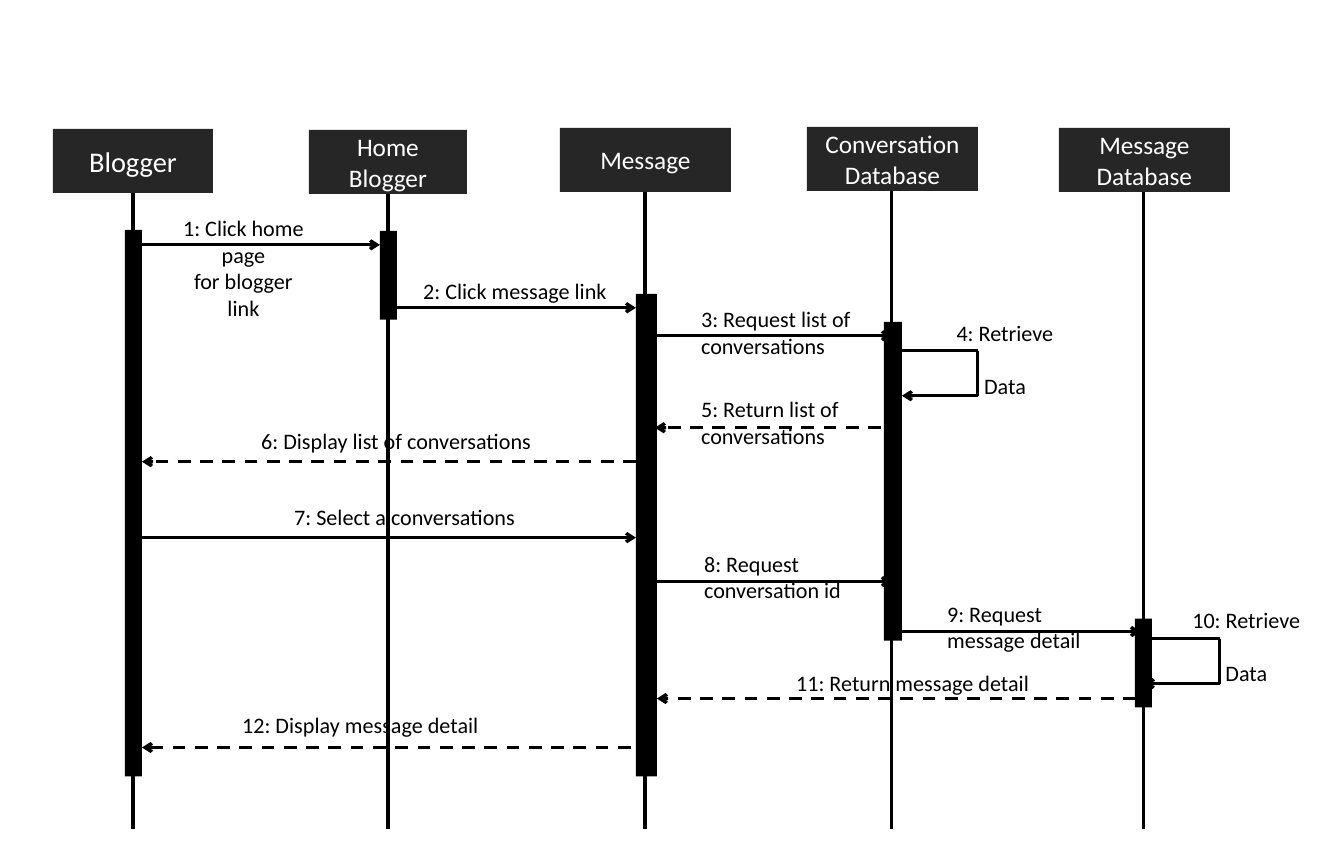
from typing import NamedTuple

from lxml import etree
from pptx import Presentation, util as u
from pptx.dml.color import RGBColor
from pptx.enum import dml, shapes, text
from pptx.oxml.ns import qn

SCALE = 8035  # EMU per pixel
HEAD_H = 64
FOOT_Y = 830
ROW_H = 27
BLACK, DARK, WHITE = "000000", "262626", "FFFFFF"


class Actor(NamedTuple):
    """A header box, its lifeline axis and its activation bar."""
    name: str
    left: int
    top: int
    width: int
    size: int
    axis: int
    bar: tuple[int, int, int, int]


class Label(NamedTuple):
    """A message caption; rows is the number of lines it fills."""
    words: str
    left: int
    top: int
    width: int
    rows: int = 1
    center: bool = False
    gap: int = 0


class Call(NamedTuple):
    """A level arrow between two actors."""
    start: int
    end: int
    y: int
    label: Label
    dashed: bool = False


class Loop(NamedTuple):
    """A call that an actor makes to itself."""
    left: int
    right: int
    top: int
    label: Label


ACTORS = [
    Actor("Blogger", 53, 129, 160, 18, 133, (125, 230, 17, 547)),
    Actor("Home\nBlogger", 309, 130, 158, 16, 388, (380, 231, 17, 89)),
    Actor("Message", 560, 128, 171, 16, 645, (636, 294, 21, 483)),
    Actor("Conversation Database", 807, 127, 171, 16, 892, (884, 322, 18, 319)),
    Actor("Message Database", 1059, 128, 171, 16, 1144, (1135, 619, 17, 89)),
]

CALLS = [
    Call(142, 380, 245, Label("1: Click home page\nfor blogger link", 167, 209, 153, 4, True)),
    Call(394, 636, 308, Label("2: Click message link", 412, 272, 214)),
    Call(650, 892, 336, Label("3: Request list of\nconversations", 690, 300, 180, 2)),
    Call(881, 655, 428, Label("5: Return list of\nconversations", 690, 390, 169, 2), True),
    Call(636, 142, 462, Label("6: Display list of conversations", 250, 422, 332), True),
    Call(138, 636, 538, Label("7: Select a conversations", 283, 498, 260)),
    Call(650, 892, 582, Label("8: Request\nconversation id", 693, 545, 169, 2)),
    Call(899, 1141, 632, Label("9: Request\nmessage detail", 936, 595, 164, 2)),
    Call(1136, 657, 699, Label("11: Return message detail", 785, 664, 316), True),
    Call(653, 142, 748, Label("12: Display message detail", 231, 706, 332), True),
]

LOOPS = [
    Loop(902, 978, 351, Label("4: Retrieve\nData", 941, 314, 128, 2, True, 17)),
    Loop(1144, 1220, 639, Label("10: Retrieve\nData", 1177, 601, 139, 2, True, 17)),
]
LOOP_H = 45


def px(count: int) -> u.Emu:
    """Turn pixels into EMU."""
    return u.Emu(count * SCALE)


def tint(code: str) -> RGBColor:
    """Turn a hex string into a colour."""
    return RGBColor.from_string(code)


def write(frame, words: str, size: int, color: str, center: bool, gap: int = 0) -> None:
    """Fill a text frame and format its runs."""
    frame.text = words
    frame.word_wrap = True
    for index, para in enumerate(frame.paragraphs):
        para.alignment = text.PP_ALIGN.CENTER if center else text.PP_ALIGN.LEFT
        if index and gap:
            para.space_before = u.Pt(gap)
        for run in para.runs:
            run.font.name = "Calibri"
            run.font.size = u.Pt(size)
            run.font.color.rgb = tint(color)


def box(slide, left: int, top: int, width: int, height: int, color: str):
    """Draw a plain filled rectangle."""
    rect = slide.shapes.add_shape(
        shapes.MSO_SHAPE.RECTANGLE, px(left), px(top), px(width), px(height))
    rect.shadow.inherit = False
    rect.fill.solid()
    rect.fill.fore_color.rgb = tint(color)
    rect.line.fill.background()
    return rect


def line(slide, start: tuple[int, int], end: tuple[int, int],
         arrow: bool = False, dashed: bool = False) -> None:
    """Draw a black line, with an arrowhead at its end if asked."""
    link = slide.shapes.add_connector(
        shapes.MSO_CONNECTOR.STRAIGHT, *map(px, start + end))
    link.line.width = u.Pt(2)
    link.line.color.rgb = tint(BLACK)
    if dashed:
        link.line.dash_style = dml.MSO_LINE.DASH
    props = link.element.spPr
    if arrow:
        etree.SubElement(props.find(qn("a:ln")), qn("a:tailEnd"), type="arrow")
    etree.SubElement(props, qn("a:effectLst"))


def draw_label(slide, label: Label) -> None:
    """Write one message caption."""
    area = slide.shapes.add_textbox(
        px(label.left), px(label.top), px(label.width), px(12 + ROW_H * label.rows))
    write(area.text_frame, label.words, 14, BLACK, label.center, label.gap)


def draw_actor(slide, actor: Actor) -> None:
    """Draw a header, its lifeline and its activation bar."""
    head = box(slide, actor.left, actor.top, actor.width, HEAD_H, DARK)
    head.text_frame.vertical_anchor = text.MSO_ANCHOR.MIDDLE
    write(head.text_frame, actor.name, actor.size, WHITE, True)
    line(slide, (actor.axis, actor.top + HEAD_H), (actor.axis, FOOT_Y))
    box(slide, *actor.bar, BLACK)


def draw_call(slide, call: Call) -> None:
    """Draw an arrow and its caption."""
    line(slide, (call.start, call.y), (call.end, call.y), True, call.dashed)
    draw_label(slide, call.label)


def draw_loop(slide, loop: Loop) -> None:
    """Draw the three sides of a self call and its caption."""
    low = loop.top + LOOP_H
    line(slide, (loop.left, loop.top), (loop.right, loop.top))
    line(slide, (loop.right, loop.top), (loop.right, low))
    line(slide, (loop.right, low), (loop.left, low), True)
    draw_label(slide, loop.label)


def main() -> None:
    """Build the sequence diagram and save it."""
    deck = Presentation()
    deck.slide_width, deck.slide_height = u.Cm(30), u.Cm(19.05)
    slide = deck.slides.add_slide(deck.slide_layouts[6])
    for actor in ACTORS:
        draw_actor(slide, actor)
    for call in CALLS:
        draw_call(slide, call)
    for loop in LOOPS:
        draw_loop(slide, loop)
    deck.save("out.pptx")


main()
